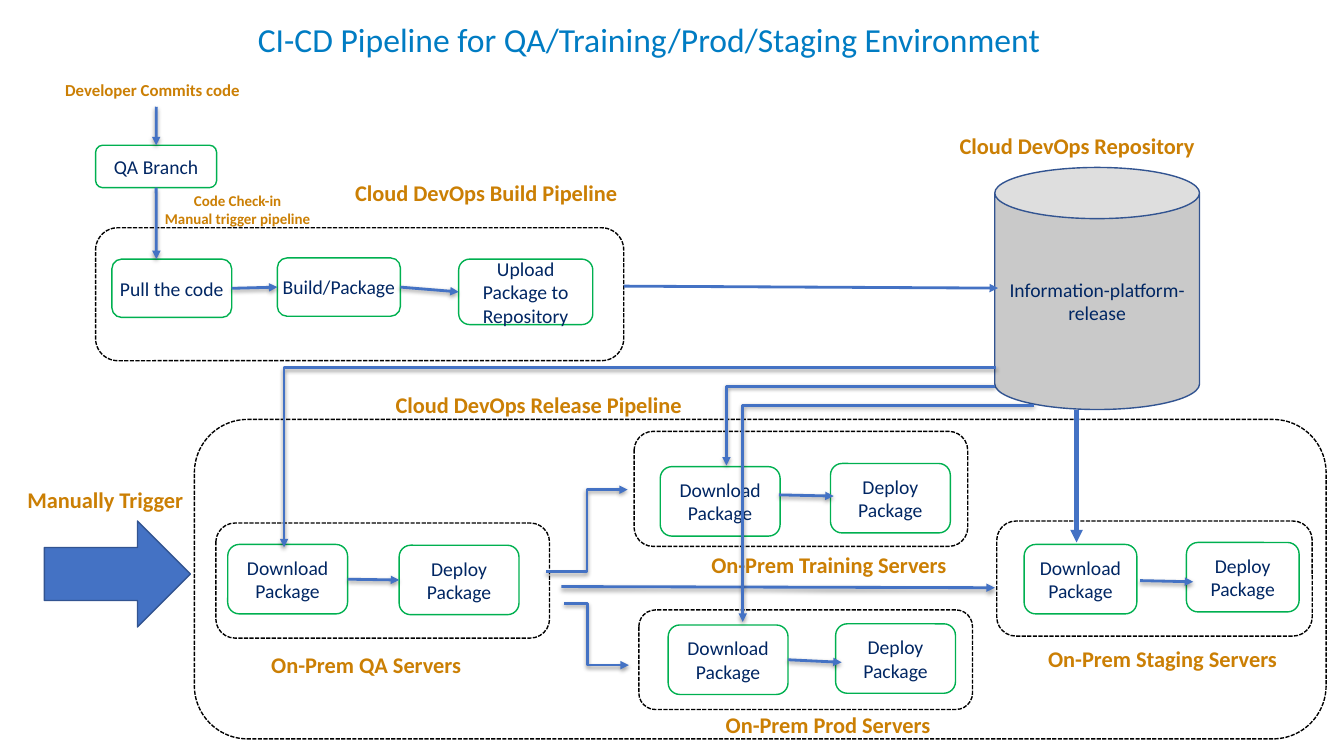
from dataclasses import dataclass

from lxml.etree import SubElement
from pptx import Presentation
from pptx.dml.color import RGBColor
from pptx.enum.dml import MSO_LINE
from pptx.enum.shapes import MSO_CONNECTOR, MSO_SHAPE
from pptx.enum.text import MSO_ANCHOR, PP_ALIGN
from pptx.oxml.ns import qn
from pptx.util import Cm, Pt


@dataclass(frozen=True)
class Theme:
    font: str = "Calibri"
    title: str = "007CC3"
    label: str = "CB7F04"
    text: str = "002663"
    blue: str = "4472C4"
    edge: str = "325491"
    green: str = "00B050"
    black: str = "000000"
    gray: str = "C9C9C9"
    head: float = 24
    large: float = 16
    body: float = 14
    small: float = 12
    tiny: float = 10.7


THEME = Theme()

# All places are in centimetres: left, top, width, height
TITLE = ("CI-CD Pipeline for QA/Training/Prod/Staging Environment", (4.24, 0.46, 24.23, 1.27))
STORE = ("Information-platform-release", (25.07, 4.22, 5.16, 6.1))
TRIGGER = (1.12, 13.13, 3.68, 2.67)
FRAMES = [(2.41, 5.74, 13.31, 3.35), (4.9, 10.57, 28.52, 8.05)]

STEPS = {
    "branch": ("QA Branch", (2.41, 3.66, 3.05, 1.07)),
    "pull": ("Pull the code", (2.82, 6.53, 3.02, 1.47)),
    "build": ("Build/Package", (6.99, 6.5, 3.1, 1.47)),
    "upload": ("Upload Package to Repository", (11.56, 6.53, 3.38, 1.65)),
}

# name: frame, label corner, download corner, deploy corner, step width
STAGES = {
    "QA": ((5.44, 13.18, 8.41, 2.9), (4.9, 16.23), (5.74, 13.72), (10.06, 13.74), 3.02),
    "Training": ((15.98, 10.87, 8.41, 2.9), (16.56, 13.72), (16.64, 11.76), (20.93, 11.68), 3.02),
    "Prod": ((16.1, 15.37, 8.41, 2.51), (16.54, 17.73), (16.84, 15.75), (21.06, 15.72), 3.02),
    "Staging": ((25.12, 13.13, 7.95, 2.9), (24.97, 16.08), (25.81, 13.72), (29.9, 13.67), 2.84),
}
STEP_H, LABEL_W, LABEL_H = 1.75, 8.66, 1.02

LABELS = [
    ("Cloud DevOps Build Pipeline", (7.95, 4.34, 8.61, LABEL_H), THEME.large),
    ("Cloud DevOps Release Pipeline", (9.25, 9.68, LABEL_W, LABEL_H), THEME.large),
    ("Cloud DevOps Repository", (23.32, 3.15, 7.65, LABEL_H), THEME.large),
    ("Manually Trigger", (0, 12.07, 5.31, LABEL_H), THEME.large),
    ("Developer Commits code", (1.14, 1.83, 5.41, 0.86), THEME.small),
    ("Code Check-in\nManual trigger pipeline", (3.63, 4.65, 4.72, 1.24), THEME.tiny),
]

# An end is a point, or a step name with the side it joins
TOP, LEFT, BOTTOM, RIGHT = range(4)
LINES = [
    ((3.94, 2.69), ("branch", TOP)),
    (("branch", BOTTOM), (3.94, 6.53)),
    (("pull", RIGHT), ("build", LEFT)),
    (("build", RIGHT), ("upload", LEFT)),
    (("QA Download", RIGHT), ("QA Deploy", LEFT)),
    ((19.63, 12.47), (21.01, 12.5)),
    (("Prod Download", RIGHT), (21.21, 16.69)),
    ((28.73, 14.63), (30.07, 14.66)),
    ((14.15, 14.78), (25.07, 14.81)),
]
FLAT = [((15.72, 7.21), (25.15, 7.26), 2), ((27.13, 10.34), (27.13, 13.67), 3)]
CORNERS = [
    ((25.1, 9.27), (7.16, 13.79)),
    ((25.07, 9.73), (18.31, 11.73)),
    ((26.06, 10.21), (18.72, 15.67)),
]
# start, end, share of the width where the line turns
ELBOWS = [((14.22, 15.21), (15.85, 16.76), 0.36), ((13.77, 14.4), (15.82, 12.34), 0.5)]

deck = Presentation()
deck.slide_width, deck.slide_height = Cm(33.87), Cm(19.05)
slide = deck.slides.add_slide(deck.slide_layouts[6])
shapes = slide.shapes
steps = {}


def rgb(code):
    return RGBColor.from_string(code)


def write(shape, text, size, color, bold=False, pad=None):
    """Put centred text in a shape; pad is the side and top inset."""
    frame = shape.text_frame
    frame.word_wrap = True
    frame.text = text
    if pad:
        frame.margin_left = frame.margin_right = Cm(pad[0])
        frame.margin_top = frame.margin_bottom = Cm(pad[1])
    for para in frame.paragraphs:
        para.alignment = PP_ALIGN.CENTER
        font = para.runs[0].font
        font.name, font.size, font.bold = THEME.font, Pt(size), bold
        font.color.rgb = rgb(color)


def draw(kind, place, edge, fill=None):
    shape = shapes.add_shape(kind, *map(Cm, place))
    shape.shadow.inherit = False
    shape.line.color.rgb = rgb(edge)
    shape.line.width = Pt(1)
    if fill:
        shape.fill.solid()
        shape.fill.fore_color.rgb = rgb(fill)
    else:
        shape.fill.background()
    return shape


def border(place):
    shape = draw(MSO_SHAPE.ROUNDED_RECTANGLE, place, THEME.black)
    shape.line.dash_style = MSO_LINE.SQUARE_DOT


def step(name, text, place):
    shape = draw(MSO_SHAPE.FLOWCHART_ALTERNATE_PROCESS, place, THEME.green)
    write(shape, text, THEME.body, THEME.text, pad=(0.05, 0.13))
    shape.text_frame.vertical_anchor = MSO_ANCHOR.MIDDLE
    steps[name] = shape


def label(text, place, size):
    write(shapes.add_textbox(*map(Cm, place)), text, size, THEME.label, True, (0.33, 0.18))


def link(start, end, kind=MSO_CONNECTOR.STRAIGHT, width=2, shade=True):
    """Draw an arrow, joining each end that names a step; return its geometry."""
    points = [(0, 0) if isinstance(e[0], str) else e for e in (start, end)]
    line = shapes.add_connector(kind, *map(Cm, points[0] + points[1]))
    if isinstance(start[0], str):
        line.begin_connect(steps[start[0]], start[1])
    if isinstance(end[0], str):
        line.end_connect(steps[end[0]], end[1])
    line.line.color.rgb = rgb(THEME.blue)
    line.line.width = Pt(width)
    props = line._element.spPr
    SubElement(props.find(qn("a:ln")), qn("a:tailEnd"), type="triangle")
    effect = SubElement(props, qn("a:effectLst"))
    if shade:
        cast = SubElement(effect, qn("a:outerShdw"), blurRad=str(Pt(3)),
                          dist=str(Pt(1.6)), dir="5400000", rotWithShape="0")
        tone = SubElement(cast, qn("a:srgbClr"), val=THEME.black)
        SubElement(tone, qn("a:alpha"), val="38000")
    return props.find(qn("a:prstGeom"))


for place in FRAMES:
    border(place)
for name, (text, place) in STEPS.items():
    step(name, text, place)
for name, (place, corner, first, last, width) in STAGES.items():
    border(place)
    for verb, spot in (("Download", first), ("Deploy", last)):
        step(f"{name} {verb}", f"{verb} Package", (*spot, width, STEP_H))
    label(f"On-Prem {name} Servers", (*corner, LABEL_W, LABEL_H), THEME.large)
for item in LABELS:
    label(*item)

title = shapes.add_textbox(*map(Cm, TITLE[1]))
write(title, TITLE[0], THEME.head, THEME.title)
title.text_frame.paragraphs[0].line_spacing = 0.9
store = draw(MSO_SHAPE.CAN, STORE[1], THEME.edge, THEME.gray)
write(store, STORE[0], THEME.body, THEME.text)
store.text_frame.vertical_anchor = MSO_ANCHOR.MIDDLE
draw(MSO_SHAPE.RIGHT_ARROW, TRIGGER, THEME.edge, THEME.blue)

for start, end in LINES:
    link(start, end)
for start, end, width in FLAT:
    link(start, end, width=width, shade=False)
for start, end in CORNERS:
    link(start, end, MSO_CONNECTOR.ELBOW).set("prst", "bentConnector2")
for start, end, turn in ELBOWS:
    shape = link(start, end, MSO_CONNECTOR.ELBOW)
    SubElement(shape.find(qn("a:avLst")), qn("a:gd"), name="adj1", fmla=f"val {round(turn * 100000)}")

deck.save("out.pptx")
